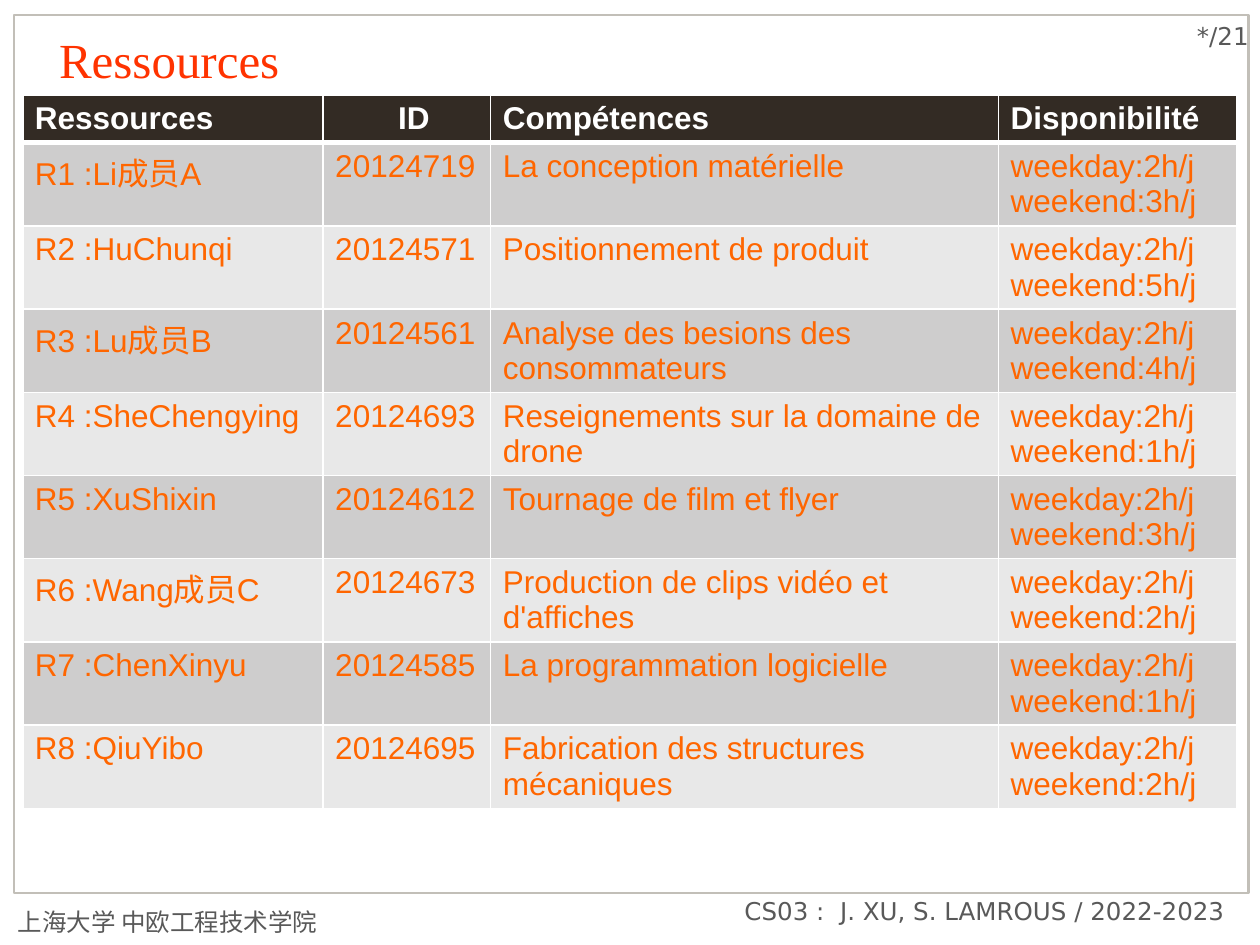
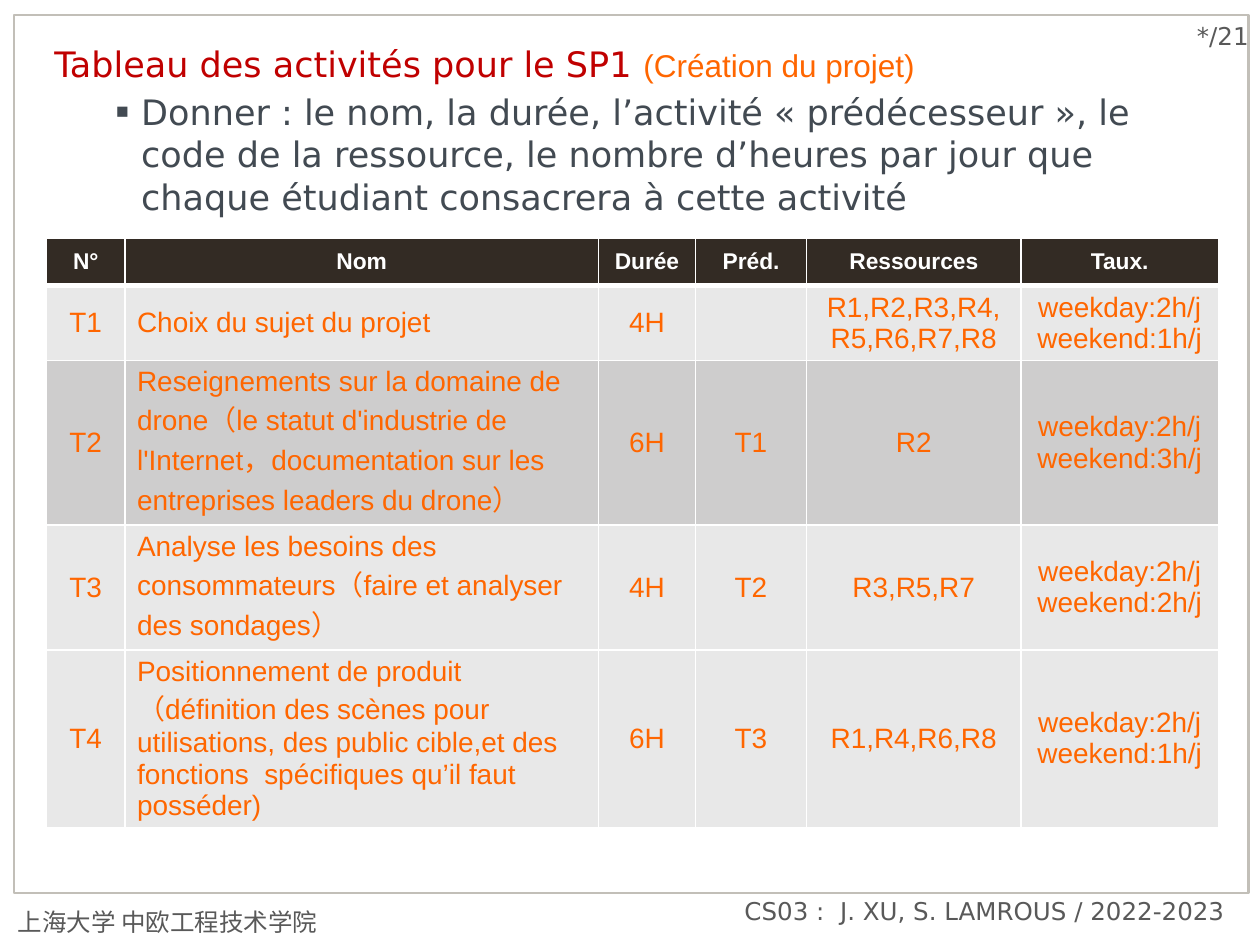
from dataclasses import dataclass

from lxml import etree
from pptx import Presentation
from pptx.dml.color import RGBColor
from pptx.enum.shapes import MSO_SHAPE
from pptx.enum.text import MSO_ANCHOR, MSO_AUTO_SIZE, PP_ALIGN
from pptx.oxml.ns import qn
from pptx.util import Pt

LEFT, MID, RIGHT = PP_ALIGN.LEFT, PP_ALIGN.CENTER, PP_ALIGN.RIGHT
TOP, CENTER = MSO_ANCHOR.TOP, MSO_ANCHOR.MIDDLE
RECT = MSO_SHAPE.RECTANGLE
NO_FIT = MSO_AUTO_SIZE.NONE


@dataclass(frozen=True)
class Theme:
    # colours
    white: str = "FFFFFF"
    border: str = "C2BFB8"
    grey: str = "595959"
    slate: str = "424A52"
    head: str = "332B24"
    dark: str = "CECDCD"
    light: str = "E8E8E8"
    orange: str = "FF6600"
    red: str = "FF3300"
    deep: str = "C00000"
    # fonts
    sans: str = "Arial"
    wide: str = "DejaVu Sans"
    serif: str = "Times New Roman"
    # type sizes
    title: float = 28
    text: float = 20
    cell: float = 18
    task: float = 16
    foot: float = 14
    label: float = 13


T = Theme()


def rgb(code):
    return RGBColor.from_string(code)


def set_font(font, size, name, color, bold=False):
    font.size, font.name, font.bold = Pt(size), name, bold
    font.color.rgb = rgb(color)


def place(shape, box):
    shape.left, shape.top, shape.width, shape.height = map(Pt, box)


def set_frame(frame, pads=(7.2, 3.6, 7.2, 3.6), anchor=TOP):
    frame.word_wrap = True
    frame.auto_size = NO_FIT
    frame.vertical_anchor = anchor
    (frame.margin_left, frame.margin_top,
     frame.margin_right, frame.margin_bottom) = map(Pt, pads)


# Shared frame and footers
def add_note(slide, text, box, align, pads):
    note = slide.shapes.add_textbox(*map(Pt, box))
    set_frame(note.text_frame, pads)
    par = note.text_frame.paragraphs[0]
    par.text, par.alignment = text, align
    set_font(par.font, T.foot, T.wide, T.grey)
    return note


def add_border(slide):
    border = slide.shapes.add_shape(RECT, *map(Pt, (8, 8.6, 705.6, 501.8)))
    border.shadow.inherit = False
    border.fill.background()
    border.line.color.rgb = rgb(T.border)
    border.line.width = Pt(1.5)
    return border


def share(prs, slide):
    """Build the common parts and move them to the slide master."""
    parts = [
        add_border(slide),
        add_note(slide, "*/21", (633, 8.6, 80.6, 24.5), RIGHT,
                 (8.6, 3.6, 0, 3.6)),
        add_note(slide, "上海大学 中欧工程技术学院", (0, 515, 207, 24), LEFT,
                 (10, 3.6, 0, 3.6)),
        add_note(slide, "CS03 :  J. XU, S. LAMROUS / 2022-2023",
                 (208.8, 508.3, 498.2, 30), RIGHT, (7.2, 3.6, 7.2, 3.6)),
    ]
    tree = prs.slide_master.shapes._spTree
    for num, part in enumerate(parts, 20):
        part._element.nvSpPr.cNvPr.set("id", str(num))
        tree.append(part._element)


# Titles and lists
def add_title(slide, runs, box, pads, pitch):
    title = slide.shapes.title
    place(title, box)
    set_frame(title.text_frame, pads)
    par = title.text_frame.paragraphs[0]
    par.alignment, par.line_spacing = LEFT, Pt(pitch)
    for text, *look in runs:
        run = par.add_run()
        run.text = text
        set_font(run.font, *look)


def add_bullet(par):
    props = par._p.get_or_add_pPr()
    props.set("marL", str(Pt(49.7)))
    props.set("indent", str(Pt(-14.4)))
    color = etree.SubElement(props, qn("a:buClr"))
    etree.SubElement(color, qn("a:srgbClr"), val=T.slate)
    etree.SubElement(props, qn("a:buSzPct"), val="60000")
    etree.SubElement(props, qn("a:buFont"), typeface=T.sans)
    etree.SubElement(props, qn("a:buChar"), char="■")


def add_list(slide, items, box):
    body = slide.placeholders[1]
    place(body, box)
    set_frame(body.text_frame)
    for num, item in enumerate(items):
        pars = body.text_frame
        par = pars.add_paragraph() if num else pars.paragraphs[0]
        par.text, par.level = item, 1
        par.line_spacing, par.space_before = Pt(24.3), Pt(4 if num else 0)
        add_bullet(par)
        set_font(par.font, T.text, T.wide, T.slate)


# Tables
def set_edges(cell, row):
    """White cell edges, thicker under the header row."""
    thick = {"B": 3} if row == 0 else {"T": 3} if row == 1 else {}
    props = cell._tc.get_or_add_tcPr()
    for num, side in enumerate("LRTB"):
        line = etree.Element(qn("a:ln" + side), w=str(Pt(thick.get(side, 1))))
        fill = etree.SubElement(line, qn("a:solidFill"))
        etree.SubElement(fill, qn("a:srgbClr"), val=T.white)
        props.insert(num, line)


def fill_cell(cell, text, look, color, align, anchor):
    cell.fill.solid()
    cell.fill.fore_color.rgb = rgb(color)
    cell.vertical_anchor = anchor
    cell.margin_left = cell.margin_right = Pt(7)
    cell.margin_top = cell.margin_bottom = Pt(3.6)
    cell.text = text
    for par in cell.text_frame.paragraphs:
        par.alignment = align
        set_font(par.font, *look)


def add_grid(slide, rows, spot, widths, heights, shades, looks, aligns, anchor):
    """looks and aligns each hold the header's value, then the body's."""
    shape = slide.shapes.add_table(len(rows), len(widths), *map(Pt, spot),
                                   Pt(sum(widths)), Pt(sum(heights)))
    grid = shape.table
    for col, width in zip(grid.columns, widths):
        col.width = Pt(width)
    for row, height in zip(grid.rows, heights):
        row.height = Pt(height)
    for r, (texts, shade) in enumerate(zip(rows, shades)):
        part = min(r, 1)
        for c, text in enumerate(texts):
            cell = grid.cell(r, c)
            fill_cell(cell, text, looks[part], shade, aligns[part][c], anchor)
            set_edges(cell, r)
    return grid


def hours(day, end):
    return f"weekday:{day}h/j\nweekend:{end}h/j"


# Slides
TEAM = [
    ("Li成员A", "20124719", "La conception matérielle", 3),
    ("HuChunqi", "20124571", "Positionnement de produit", 5),
    ("Lu成员B", "20124561", "Analyse des besions des consommateurs", 4),
    ("SheChengying", "20124693", "Reseignements sur la domaine de drone", 1),
    ("XuShixin", "20124612", "Tournage de film et flyer", 3),
    ("Wang成员C", "20124673", "Production de clips vidéo et d'affiches", 2),
    ("ChenXinyu", "20124585", "La programmation logicielle", 1),
    ("QiuYibo", "20124695", "Fabrication des structures mécaniques", 2),
]

TASKS = [
    ("Choix du sujet du projet", "4H", "", "R1,R2,R3,R4,R5,R6,R7,R8", 1),
    ("Reseignements sur la domaine de drone（le statut d'industrie de "
     "l'Internet，documentation sur les entreprises leaders du drone）",
     "6H", "T1", "R2", 3),
    ("Analyse les besoins des consommateurs（faire et analyser des sondages）",
     "4H", "T2", "R3,R5,R7", 2),
    ("Positionnement de produit（définition des scènes pour utilisations, "
     "des public cible,et des fonctions  spécifiques qu’il faut posséder)",
     "6H", "T3", "R1,R4,R6,R8", 1),
]


def show_team(slide):
    add_title(slide, [("Ressources", T.title, T.serif, T.red)],
              (33.8, 18.7, 625.7, 41.8), (0, 0, 7.2, 3.6), 32)
    rows = [("Ressources", "ID", "Compétences", "Disponibilité")]
    rows += [(f"R{n} :{name}", code, skill, hours(2, end))
             for n, (name, code, skill, end) in enumerate(TEAM, 1)]
    looks = ((T.cell, T.sans, T.white, True), (T.cell, T.sans, T.orange))
    grid = add_grid(slide, rows, (13, 54.2), (171.6, 95.8, 290.2, 136.4),
                    [27] + [47.4] * len(TEAM),
                    [T.head] + [T.dark, T.light] * 4,
                    looks, ([LEFT] * 4,) * 2, TOP)
    # The ID heading is indented
    label = grid.cell(0, 1).text_frame.paragraphs[0]
    label._p.get_or_add_pPr().set("marL", str(Pt(36)))


def show_tasks(slide):
    add_title(slide, [("Tableau des activités pour le SP1 ",
                       T.text, T.wide, T.deep),
                      ("(Création du projet)", T.cell, T.sans, T.orange)],
              (23.8, 20.2, 646.5, 30), (7.2, 3.6, 7.2, 0), 24.3)
    add_list(slide, ["Donner : le nom, la durée, l’activité « prédécesseur », "
                     "le code de la ressource, le nombre d’heures par jour "
                     "que chaque étudiant consacrera à cette activité"],
             (23.8, 47.8, 646.5, 84))
    rows = [("N°", "Nom", "Durée", "Préd.", "Ressources", "Taux.")]
    rows += [(f"T{n}", name, span, prior, team, hours(2, end))
             for n, (name, span, prior, team, end) in enumerate(TASKS, 1)]
    looks = ((T.label, T.sans, T.white, True), (T.task, T.sans, T.orange))
    add_grid(slide, rows, (26.6, 136.2), (44.8, 270.6, 55.4, 63.6, 122.4, 113),
             (27, 42.2, 93.8, 71.3, 101.2),
             (T.head, T.light, T.dark, T.light, T.light),
             looks, ([MID] * 6, [MID, LEFT] + [MID] * 4), CENTER)


def main():
    prs = Presentation()
    prs.slide_width, prs.slide_height = Pt(720), Pt(540)
    team = prs.slides.add_slide(prs.slide_layouts[5])
    tasks = prs.slides.add_slide(prs.slide_layouts[1])
    share(prs, team)
    show_team(team)
    show_tasks(tasks)
    prs.save("out.pptx")


if __name__ == "__main__":
    main()
